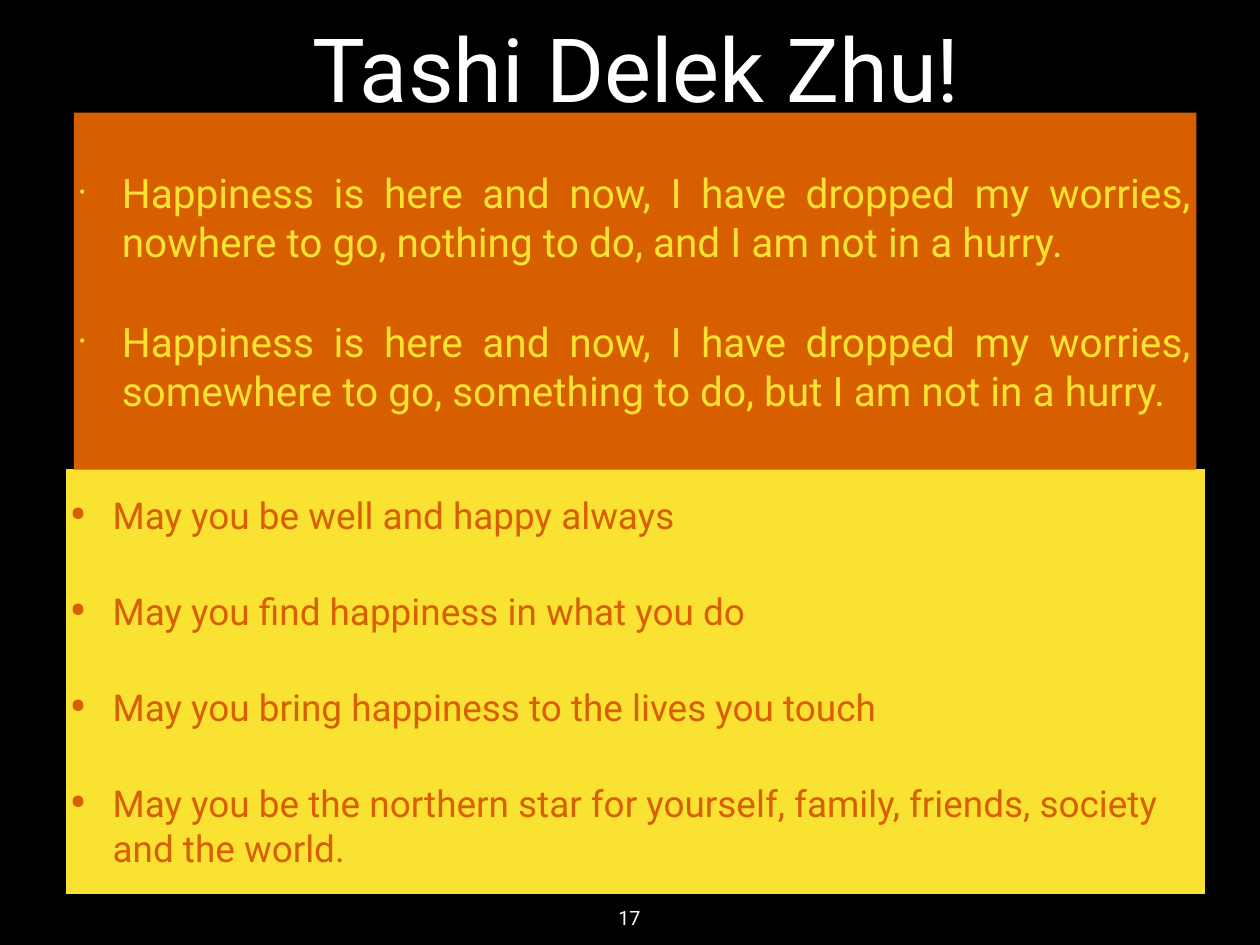
import dataclasses

import lxml.etree
import pptx
import pptx.dml.color
import pptx.enum.shapes
import pptx.enum.text
import pptx.oxml.ns
import pptx.util

ALIGN = pptx.enum.text.PP_ALIGN
ANCHOR = pptx.enum.text.MSO_ANCHOR


@dataclasses.dataclass(frozen=True)
class Theme:
    font: str = "Roboto"
    black: str = "000000"
    white: str = "FFFFFF"
    orange: str = "D75F00"
    yellow: str = "FAE232"
    title_size: int = 72
    verse_size: int = 33
    wish_size: int = 30
    number_size: int = 16
    paragraph_gap: int = 42
    inset: int = 4
    indent: int = 35


THEME = Theme()

# The slide is a grid of 128 columns by 96 rows, each cell 8 points square
CELL = 8
COLUMNS, ROWS = 128, 96

VERSES = [
    "Happiness is here and now, I have dropped my worries, "
    "nowhere to go, nothing to do, and I am not in a hurry.",
    "Happiness is here and now, I have dropped my worries, "
    "somewhere to go, something to do, but I am not in a hurry.",
]
WISHES = [
    "May you be well and happy always",
    "May you find happiness in what you do",
    "May you bring happiness to the lives you touch",
    "May you be the northern star for yourself, family, friends, society and the world.",
]


def cells(count):
    return pptx.util.Pt(count * CELL)


def rgb(color):
    return pptx.dml.color.RGBColor.from_string(color)


def write_lines(frame, lines, size, color, align, anchor=ANCHOR.MIDDLE):
    frame.word_wrap = True
    frame.vertical_anchor = anchor
    inset = pptx.util.Pt(THEME.inset)
    frame.margin_left = frame.margin_right = inset
    frame.margin_top = frame.margin_bottom = inset
    frame.text = "\n".join(lines)
    for paragraph in frame.paragraphs:
        paragraph.alignment = align
        for run in paragraph.runs:
            run.font.name = THEME.font
            run.font.size = pptx.util.Pt(size)
            run.font.color.rgb = rgb(color)


def add_label(slide, place, text, size, anchor=ANCHOR.MIDDLE):
    label = slide.shapes.add_textbox(*map(cells, place))
    write_lines(label.text_frame, [text], size, THEME.white, ALIGN.CENTER, anchor)


def add_bullet(paragraph, color, percent):
    properties = paragraph._p.get_or_add_pPr()
    indent = pptx.util.Pt(THEME.indent)
    properties.set("marL", str(indent))
    properties.set("indent", str(-indent))

    def add(parent, tag, **attributes):
        return lxml.etree.SubElement(parent, pptx.oxml.ns.qn(tag), **attributes)

    add(add(properties, "a:buClr"), "a:srgbClr", val=color)
    add(properties, "a:buSzPct", val=str(percent * 1000))
    add(properties, "a:buFont", typeface=THEME.font)
    add(properties, "a:buChar", char="•")


def add_bullet_panel(slide, place, lines, size, fill, color, align, bullet_percent):
    panel = slide.shapes.add_shape(
        pptx.enum.shapes.MSO_SHAPE.RECTANGLE, *map(cells, place))
    panel.shadow.inherit = False
    panel.fill.solid()
    panel.fill.fore_color.rgb = rgb(fill)
    panel.line.fill.background()
    write_lines(panel.text_frame, lines, size, color, align)
    for position, paragraph in enumerate(panel.text_frame.paragraphs):
        add_bullet(paragraph, color, bullet_percent)
        if position:
            paragraph.space_before = pptx.util.Pt(THEME.paragraph_gap)
    return panel


def main():
    deck = pptx.Presentation()
    deck.slide_width, deck.slide_height = cells(COLUMNS), cells(ROWS)
    slide = deck.slides.add_slide(deck.slide_layouts[6])
    slide.background.fill.solid()
    slide.background.fill.fore_color.rgb = rgb(THEME.black)

    # Wishes, outlined in the background colour
    wishes = add_bullet_panel(
        slide, (6.57, 47.5, 116, 43.4), WISHES, THEME.wish_size,
        THEME.yellow, THEME.orange, ALIGN.LEFT, 145)
    wishes.line.color.rgb = rgb(THEME.black)
    wishes.line.width = pptx.util.Pt(2)

    # Slide number and title
    add_label(slide, (60.95, 91.5, 6, 3.2), "17", THEME.number_size, ANCHOR.TOP)
    add_label(slide, (10, 2.25, 109.25, 9.2), "Tashi Delek Zhu!", THEME.title_size)

    # Verses, overlapping the top edge of the wishes
    add_bullet_panel(
        slide, (7.5, 11.45, 114.05, 36.25), VERSES, THEME.verse_size,
        THEME.orange, THEME.yellow, ALIGN.JUSTIFY, 50)

    deck.save("out.pptx")


if __name__ == "__main__":
    main()
